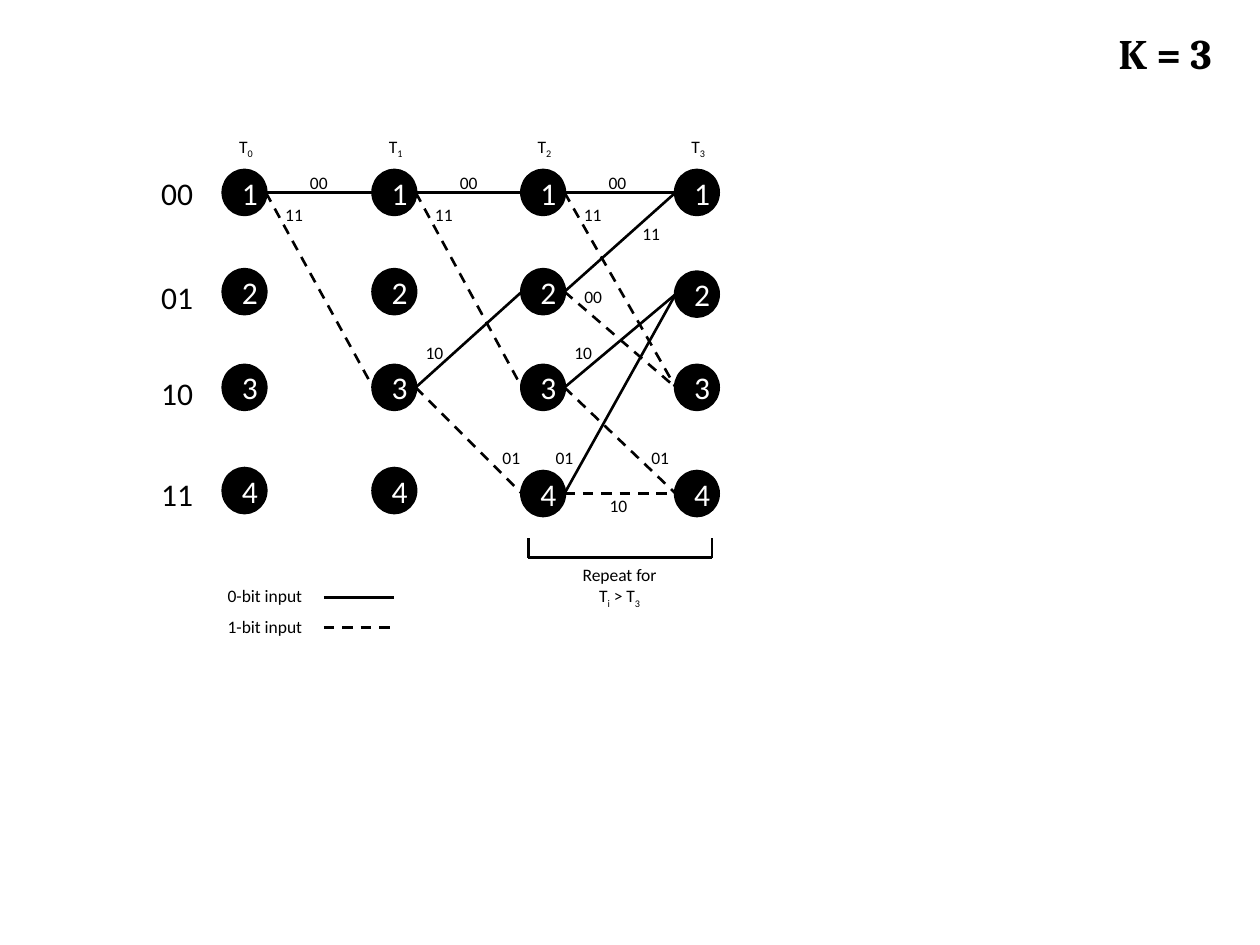
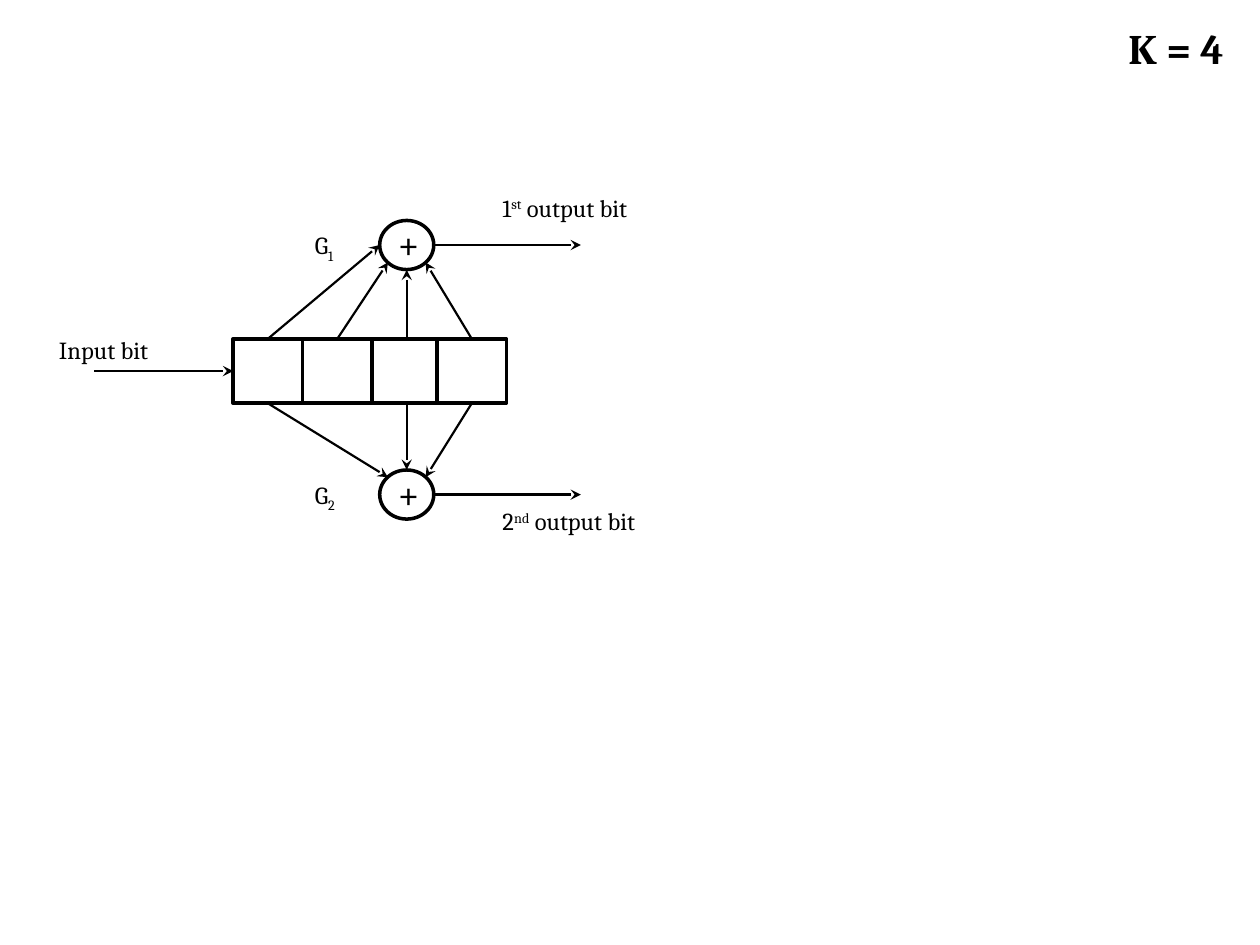
"""Build two slides on convolutional codes: a trellis and an encoder."""
import dataclasses

import lxml.etree
import pptx
import pptx.dml.color
import pptx.enum.dml
import pptx.enum.shapes
import pptx.enum.text
import pptx.oxml.ns
import pptx.util

Cm = pptx.util.Cm
SHAPES = pptx.enum.shapes.MSO_SHAPE
CENTER = pptx.enum.text.PP_ALIGN.CENTER


@dataclasses.dataclass(frozen=True)
class Theme:
    black: str = "000000"
    white: str = "FFFFFF"
    sans: str = "Calibri"
    serif: str = "Cambria"
    small: float = 10
    body: float = 14
    state: float = 18
    plus: float = 20
    title: float = 24
    outline: float = 2
    trellis_line: float = 1.5
    arrow_line: float = 1.25


THEME = Theme()


def rgb(color):
    return pptx.dml.color.RGBColor.from_string(color)


def write(frame, text, font=THEME.sans, size=THEME.small, color=THEME.black, bold=False, align=None):
    """Write text whose |_ and |^ pieces are lowered and raised."""
    para = frame.paragraphs[0]
    para.alignment = align
    for piece in text.split("|"):
        baseline = {"_": "-25000", "^": "30000"}.get(piece[0])
        span = para.add_run()
        span.text = piece[1:] if baseline else piece
        span.font.name = font
        span.font.size = pptx.util.Pt(size)
        span.font.bold = bold
        span.font.color.rgb = rgb(color)
        if baseline:
            span.font._element.set("baseline", baseline)


class Deck:
    """Hold the theme and the current page, and draw elements in centimetres."""

    def __init__(self, theme):
        self.theme = theme
        self.file = pptx.Presentation()
        self.file.slide_width = Cm(25.4)
        self.file.slide_height = Cm(19.05)
        self.page = None

    def add_page(self, title, left, top):
        self.page = self.file.slides.add_slide(self.file.slide_layouts[6])
        self.text(title, left, top, 2.57, 1.27, font=self.theme.serif, size=self.theme.title, bold=True)

    def text(self, text, left, top, width=0.91, height=0.69, **style):
        box = self.page.shapes.add_textbox(Cm(left), Cm(top), Cm(width), Cm(height))
        box.text_frame.word_wrap = True
        box.text_frame.auto_size = pptx.enum.text.MSO_AUTO_SIZE.SHAPE_TO_FIT_TEXT
        write(box.text_frame, text, **style)

    def shape(self, kind, left, top, width, height, fill, text=None, **style):
        shape = self.page.shapes.add_shape(kind, Cm(left), Cm(top), Cm(width), Cm(height))
        shape.shadow.inherit = False
        shape.fill.solid()
        shape.fill.fore_color.rgb = rgb(fill)
        shape.line.color.rgb = rgb(self.theme.black)
        shape.line.width = pptx.util.Pt(self.theme.outline)
        if text:
            write(shape.text_frame, text, align=CENTER, **style)

    def circle(self, center, width, height, fill, text, **style):
        x, y = center
        self.shape(SHAPES.OVAL, x - width / 2, y - height / 2, width, height, fill, text, **style)

    def line(self, start, end, dashed=False, arrow=False):
        line = self.page.shapes.add_connector(
            pptx.enum.shapes.MSO_CONNECTOR.STRAIGHT, *map(Cm, start + end))
        line.line.color.rgb = rgb(self.theme.black)
        line.line.width = pptx.util.Pt(self.theme.arrow_line if arrow else self.theme.trellis_line)
        if dashed:
            line.line.dash_style = pptx.enum.dml.MSO_LINE_DASH_STYLE.DASH
        properties = line._element.spPr
        if arrow:
            outline = properties.find(pptx.oxml.ns.qn("a:ln"))
            lxml.etree.SubElement(outline, pptx.oxml.ns.qn("a:tailEnd"), type="stealth")
        lxml.etree.SubElement(properties, pptx.oxml.ns.qn("a:effectLst"))


def build_trellis(deck):
    theme = deck.theme
    deck.add_page("K = 3", 22.3, 0.43)
    node_width, node_height = 0.86, 0.89
    column_x = [4.93, 7.95, 10.95, 14.05]
    early_rows = [3.88, 5.88, 7.81, 9.89]
    column_rows = [early_rows, early_rows, [3.88, 5.88, 7.81, 9.95], [3.88, 5.93, 7.81, 9.95]]

    for state, top in enumerate([3.38, 5.49, 7.42, 9.45]):
        deck.text(f"{state:02b}", 3, top, 1.19, 1.02, size=theme.state)
    for step, (x, rows) in enumerate(zip(column_x, column_rows)):
        deck.text(f"T|_{step}", x - 0.36, 2.62)
        for number, y in enumerate(rows, 1):
            deck.circle((x, y), node_width, node_height, theme.black, str(number),
                        size=theme.state, color=theme.white)

    label_offsets = {
        (0, 0): (0.64, -0.53), (0, 1): (0.14, 0.1),
        (1, 0): (1.32, -1.5), (1, 1): (0.15, -0.23),
        (2, 0): (-0.05, -1.04), (2, 1): (1.5, 1.07),
        (3, 0): (-0.43, -1.07), (3, 1): (0.66, -0.1),
    }
    reached = {0}
    for step in range(3):
        following = set()
        start_x = column_x[step] + node_width / 2
        end_x = column_x[step + 1] - node_width / 2
        for state in sorted(reached):
            start_y = column_rows[step][state]
            for bit in (0, 1):
                target = 2 * bit + state // 2
                following.add(target)
                deck.line((start_x, start_y), (end_x, column_rows[step + 1][target]), dashed=bit == 1)
                newer, older = divmod(state, 2)
                dx, dy = label_offsets[state, bit]
                deck.text(f"{bit ^ newer ^ older}{bit ^ older}", start_x + dx, start_y + dy)
        reached = following

    for bit, (text_top, line_y) in enumerate([(11.66, 12.04), (12.29, 12.65)]):
        deck.text(f"{bit}-bit input", 4.34, text_top, 2.18)
        deck.line((6.53, line_y), (7.95, line_y), dashed=bit == 1)

    left, right, top, bottom = 10.65, 14.35, 10.85, 11.24
    deck.line((left, bottom), (right, bottom))
    for x in (left, right):
        deck.line((x, bottom), (x, top))
    deck.text("Repeat for T|_i| > T|_3", 11.4, 11.25, 2.18, 1.12, align=CENTER)


def build_encoder(deck):
    theme = deck.theme
    deck.add_page("K = 4", 22.5, 0.33)
    cell_width, cell_height, cell_top = 1.4, 1.3, 6.83
    cell_bottom = cell_top + cell_height
    cell_lefts = [4.7, 6.1, 7.5, 8.81]
    for left in cell_lefts:
        deck.shape(SHAPES.RECTANGLE, left, cell_top, cell_width, cell_height, theme.white)
    middle = cell_top + cell_height / 2
    deck.line((1.9, middle), (cell_lefts[0], middle), arrow=True)
    deck.text("Input bit", 0.94, 6.63, 2.39, 0.86, font=theme.serif, size=theme.body)

    adder_x, adder_width, adder_height = 8.2, 1.09, 0.99
    upper_tips = {0: (-0.55, 0), 1: (-0.38, 0.35), 2: (0, 0.5), 3: (0.38, 0.35)}
    lower_tips = {0: (-0.38, -0.35), 2: (0, -0.5), 3: (0.38, -0.35)}
    adders = [
        (4.94, cell_top, upper_tips, "G|_1", 4.52, "1|^st| output bit", 3.76),
        (9.97, cell_bottom, lower_tips, "G|_2", 9.55, "2|^nd| output bit", 10.08),
    ]
    for y, tap_y, tips, name, name_top, output, output_top in adders:
        deck.circle((adder_x, y), adder_width, adder_height, theme.white, "+", size=theme.plus)
        for cell, (dx, dy) in tips.items():
            tap_x = cell_lefts[cell] + cell_width / 2
            deck.line((tap_x, tap_y), (adder_x + dx, y + dy), arrow=True)
        deck.line((adder_x + adder_width / 2, y), (11.71, y), arrow=True)
        deck.text(name, 6.1, name_top, 1.09, 0.86, font=theme.serif, size=theme.body)
        deck.text(output, 9.88, output_top, 3.63, 0.86, font=theme.serif, size=theme.body)


def main():
    deck = Deck(THEME)
    build_trellis(deck)
    build_encoder(deck)
    deck.file.save("out.pptx")


if __name__ == "__main__":
    main()
